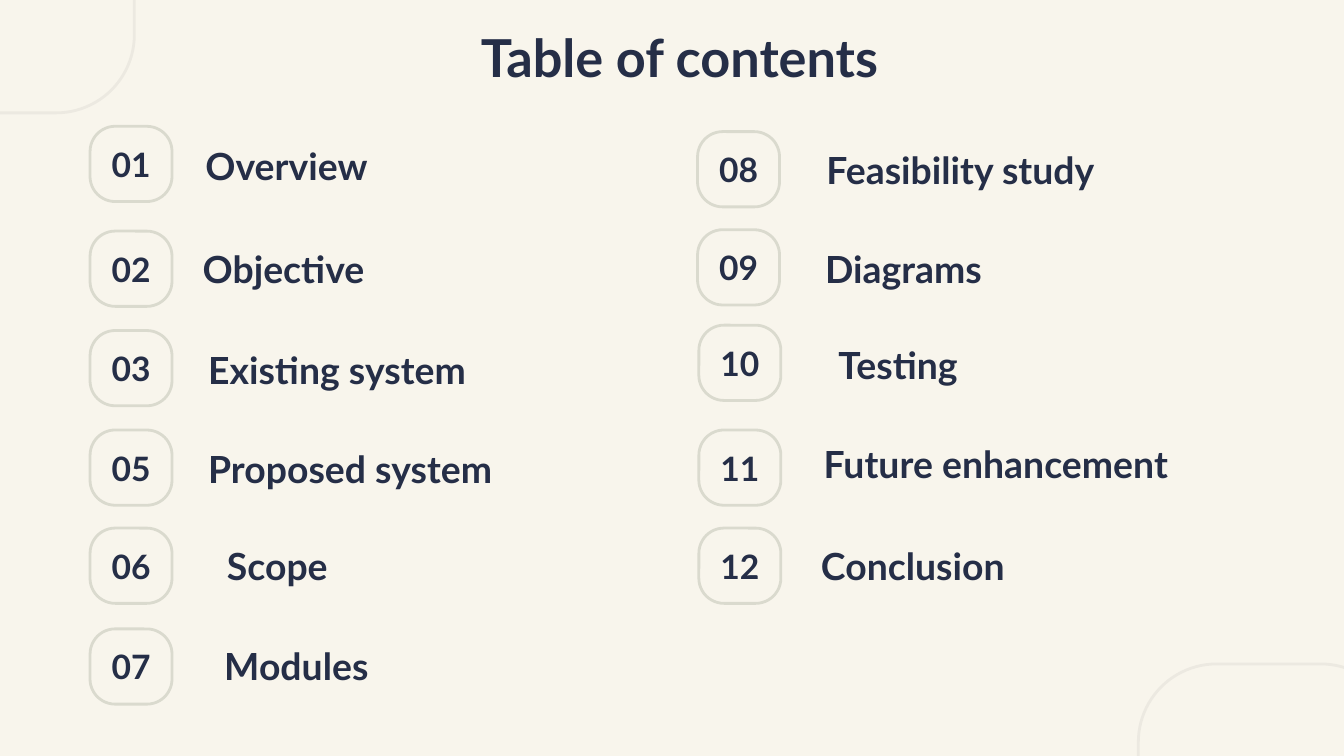
from pptx import Presentation
from pptx.dml.color import RGBColor
from pptx.enum.shapes import MSO_SHAPE
from pptx.enum.text import MSO_ANCHOR, PP_ALIGN
from pptx.util import Pt

PX = 4572  # EMU per px, 200 px to the inch
COLORS = {"paper": "F8F5EC", "ink": "252E47", "badge": "DADACE", "corner": "ECE9E1"}

deck = Presentation()
deck.slide_width, deck.slide_height = 2000 * PX, 1125 * PX
page = deck.slides.add_slide(deck.slide_layouts[6])
page.background.fill.solid()
page.background.fill.fore_color.rgb = RGBColor.from_string(COLORS["paper"])


def add_outline(left, top, width, height, rounding, color):
    box = page.shapes.add_shape(
        MSO_SHAPE.ROUNDED_RECTANGLE, left * PX, top * PX, width * PX, height * PX)
    box.adjustments[0] = rounding
    box.shadow.inherit = False
    box.fill.background()
    box.line.color.rgb = RGBColor.from_string(COLORS[color])
    box.line.width = Pt(1.5)
    return box


def write(box, text, size=20, align=PP_ALIGN.LEFT, inset=20, wrap=True):
    frame = box.text_frame
    frame.word_wrap = wrap
    frame.vertical_anchor = MSO_ANCHOR.MIDDLE
    frame.margin_left = frame.margin_right = inset * PX
    frame.margin_top = frame.margin_bottom = inset * PX
    para = frame.paragraphs[0]
    para.alignment = align
    span = para.add_run()
    span.text = text
    span.font.name = "Lato"
    span.font.size = Pt(size)
    span.font.bold = True
    span.font.color.rgb = RGBColor.from_string(COLORS["ink"])


# Corner decorations, running over the page edges
for left, top in [(-188, -296), (1694, 988)]:
    add_outline(left, top, 388, 464, 0.3, "corner")

# Heading
heading = page.shapes.add_textbox(168 * PX, 22 * PX, 1686 * PX, 126 * PX)
write(heading, "Table of contents", size=28, align=PP_ALIGN.CENTER)

# Entries: number, badge left and top, label, label left, top, width and height
entries = [
    ("01", 134, 188, "Overview", 286, 204, 368, 84),
    ("02", 134, 344, "Objective", 282, 358, 368, 84),
    ("03", 134, 492, "Existing system", 290, 492, 750, 116),
    ("05", 134, 640, "Proposed system", 290, 640, 750, 116),
    ("06", 134, 786, "Scope", 318, 800, 368, 84),
    ("07", 134, 936, "Modules", 314, 932, 504, 116),
    ("08", 1038, 196, "Feasibility study", 1210, 194, 750, 116),
    ("09", 1038, 342, "Diagrams", 1208, 342, 750, 116),
    ("10", 1040, 484, "Testing", 1228, 484, 682, 116),
    ("11", 1040, 640, "Future enhancement", 1206, 632, 682, 116),
    ("12", 1040, 786, "Conclusion", 1202, 784, 504, 116),
]
for number, badge_left, badge_top, label, left, top, width, height in entries:
    badge = add_outline(badge_left, badge_top, 122, 112, 0.334, "badge")
    write(badge, number, size=18, align=PP_ALIGN.CENTER, inset=0, wrap=False)
    box = page.shapes.add_textbox(left * PX, top * PX, width * PX, height * PX)
    write(box, label)

deck.save("out.pptx")
